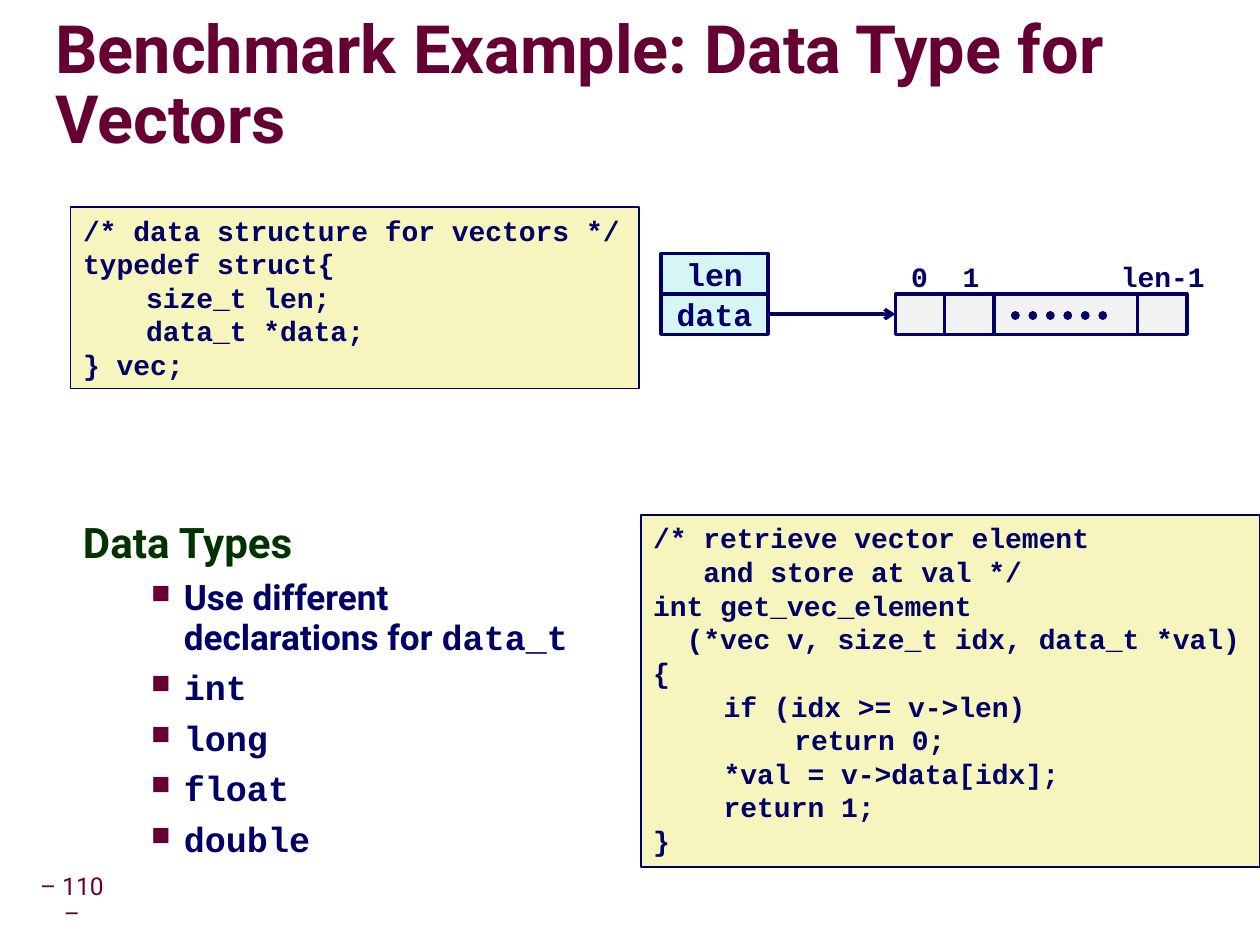
from pptx import Presentation
from pptx.dml.color import RGBColor
from pptx.enum.dml import MSO_LINE
from pptx.enum.shapes import MSO_CONNECTOR, MSO_SHAPE
from pptx.enum.text import MSO_ANCHOR as ANCHOR, PP_ALIGN as ALIGN
from pptx.oxml import parse_xml
from pptx.oxml.ns import nsdecls
from pptx.util import Inches, Pt

SANS, MONO = "Roboto", "Courier New"
MAROON, NAVY, GREEN = "660033", "000066", "003300"
CODE_FILL, FIELD_FILL, CELL_FILL = "F6F5BD", "D6F5F5", "F2F2F2"
TITLE = "Benchmark Example: Data Type for Vectors"
PAGE = "– 110 –"
HEADING = "Data Types"
BULLETS = [
    [("Use different declarations for ", SANS), ("data_t", MONO)],
    [("int", MONO)],
    [("long", MONO)],
    [("float", MONO)],
    [("double", MONO)],
]
STRUCT_CODE = """/* data structure for vectors */
typedef struct{
\tsize_t len;
\tdata_t *data;
} vec;"""
GET_CODE = """/* retrieve vector element
   and store at val */
int get_vec_element
  (*vec v, size_t idx, data_t *val)
{
\tif (idx >= v->len)
\t\treturn 0;
\t*val = v->data[idx];
\treturn 1;
}"""
CODES = [
    (STRUCT_CODE, (0.56, 1.64, 4.51, 1.44), 0.5),
    (GET_CODE, (5.08, 4.08, 4.91, 2.79), 0.56),
]
FIELDS = ["len", "data"]
CELL_WIDTHS = [0.39, 0.39, 1.14, 0.39]
INDEXES = [("0", 7.12, 0.34), ("1", 7.53, 0.34), ("len-1", 8.78, 0.88)]
FIELD_X, FIELD_Y, FIELD_W = 5.24, 2.01, 0.85
CELL_X, ROW_H = 7.1, 0.32
ROW_Y = FIELD_Y + ROW_H


def color(value):
    return RGBColor.from_string(value)


def add_xml(parent, tag, attrs="", inner=""):
    el = parse_xml(f'<a:{tag} {nsdecls("a")} {attrs}>{inner}</a:{tag}>')
    parent.append(el)
    return el


def style(r, size, font, ink, bold=True):
    r.font.size, r.font.name, r.font.bold = Pt(size), font, bold
    r.font.color.rgb = color(ink)


def set_frame(sp, inset=(0.1, 0.05), anchor=ANCHOR.TOP, wrap=True):
    tf = sp.text_frame
    tf.word_wrap, tf.vertical_anchor = wrap, anchor
    tf.margin_left = tf.margin_right = Inches(inset[0])
    tf.margin_top = tf.margin_bottom = Inches(inset[1])
    return tf


def write(tf, text, size, font, ink, bold=True, align=ALIGN.LEFT, spacing=None):
    tf.text = text
    for p in tf.paragraphs:
        p.alignment = align
        if spacing:
            p.line_spacing = spacing
        for r in p.runs:
            style(r, size, font, ink, bold)


def add_box(slide, box):
    return slide.shapes.add_textbox(*map(Inches, box))


def add_rect(slide, box, fill, width):
    sp = slide.shapes.add_shape(MSO_SHAPE.RECTANGLE, *map(Inches, box))
    sp.shadow.inherit = False
    sp.fill.solid()
    sp.fill.fore_color.rgb = color(fill)
    sp.line.color.rgb = color(NAVY)
    sp.line.width = Pt(width)
    return sp


def add_line(slide, x1, y1, x2, y2, width):
    line = slide.shapes.add_connector(
        MSO_CONNECTOR.STRAIGHT, *map(Inches, (x1, y1, x2, y2)))
    line.line.color.rgb = color(NAVY)
    line.line.width = Pt(width)
    add_xml(line._element.spPr, "effectLst")
    return line


def add_title(slide):
    tf = set_frame(add_box(slide, (0.44, 0.27, 9.52, 0.85)), (0, 0), ANCHOR.MIDDLE)
    write(tf, TITLE, 38, SANS, MAROON, spacing=0.87)
    shadow = ('<a:outerShdw blurRad="38100" dist="63500" dir="2700000">'
              '<a:srgbClr val="000000"><a:alpha val="40000"/></a:srgbClr></a:outerShdw>')
    rpr = tf.paragraphs[0].runs[0].font._element
    rpr.find("{*}solidFill").addnext(add_xml(rpr, "effectLst", inner=shadow))


def add_body(slide):
    tf = set_frame(add_box(slide, (0.56, 4.07, 4.23, 2.42)))
    write(tf, HEADING, 24, SANS, GREEN, spacing=0.95)
    for parts in BULLETS:
        p = tf.add_paragraph()
        p.level, p.line_spacing, p.space_before = 1, 0.95, Pt(6)
        ppr = p._p.get_or_add_pPr()
        ppr.set("marL", str(Inches(0.8)))
        ppr.set("indent", str(Inches(-0.26)))
        add_xml(ppr, "buClr", inner=f'<a:srgbClr val="{MAROON}"/>')
        add_xml(ppr, "buSzPct", 'val="75000"')
        add_xml(ppr, "buChar", 'char="■"')
        for text, font in parts:
            r = p.add_run()
            r.text = text
            style(r, 20, font, NAVY)


def add_code(slide, code, box, tab):
    tf = set_frame(add_rect(slide, box, CODE_FILL, 1))
    write(tf, code, 16, MONO, NAVY)
    stops = "".join(f'<a:tab pos="{Inches(tab * n)}" algn="l"/>' for n in (1, 2))
    for p in tf.paragraphs:
        if p.text.startswith("\t"):
            add_xml(p._p.get_or_add_pPr(), "tabLst", inner=stops)


def add_vector(slide):
    fields, cells = [], []
    for i, name in enumerate(FIELDS):
        sp = add_rect(slide, (FIELD_X, FIELD_Y + i * ROW_H, FIELD_W, ROW_H), FIELD_FILL, 2)
        tf = set_frame(sp, anchor=ANCHOR.MIDDLE, wrap=False)
        write(tf, name, 18, MONO, NAVY, align=ALIGN.CENTER)
        fields.append(sp)
    for i, width in enumerate(CELL_WIDTHS):
        x = CELL_X + sum(CELL_WIDTHS[:i])
        cells.append(add_rect(slide, (x, ROW_Y, width, ROW_H), CELL_FILL, 2))
    for text, x, width in INDEXES:
        tf = set_frame(add_box(slide, (x, FIELD_Y, width, 0.37)), wrap=False)
        write(tf, text, 16, MONO, NAVY, align=ALIGN.CENTER)

    mid = ROW_Y + ROW_H / 2
    pointer = add_line(slide, FIELD_X + FIELD_W, mid, CELL_X, mid, 2)
    pointer.begin_connect(fields[1], 3)
    pointer.end_connect(cells[0], 1)
    add_xml(pointer.line._get_or_add_ln(), "tailEnd", 'type="arrow"')
    dots = add_line(slide, 8.05, 2.5, 8.85, 2.5, 5)
    dots.line.dash_style = MSO_LINE.ROUND_DOT
    dots.line._get_or_add_ln().set("cap", "rnd")


def main():
    prs = Presentation()
    prs.slide_width, prs.slide_height = Inches(9.99), Inches(7.49)
    slide = prs.slides.add_slide(prs.slide_layouts[6])
    tf = set_frame(add_box(slide, (0.23, 6.98, 0.68, 0.32)), (0.05, 0.05), ANCHOR.MIDDLE)
    write(tf, PAGE, 14, SANS, MAROON, False, ALIGN.CENTER, 0.9)
    add_title(slide)
    add_body(slide)
    for code, box, tab in CODES:
        add_code(slide, code, box, tab)
    add_vector(slide)
    prs.save("out.pptx")


if __name__ == "__main__":
    main()
